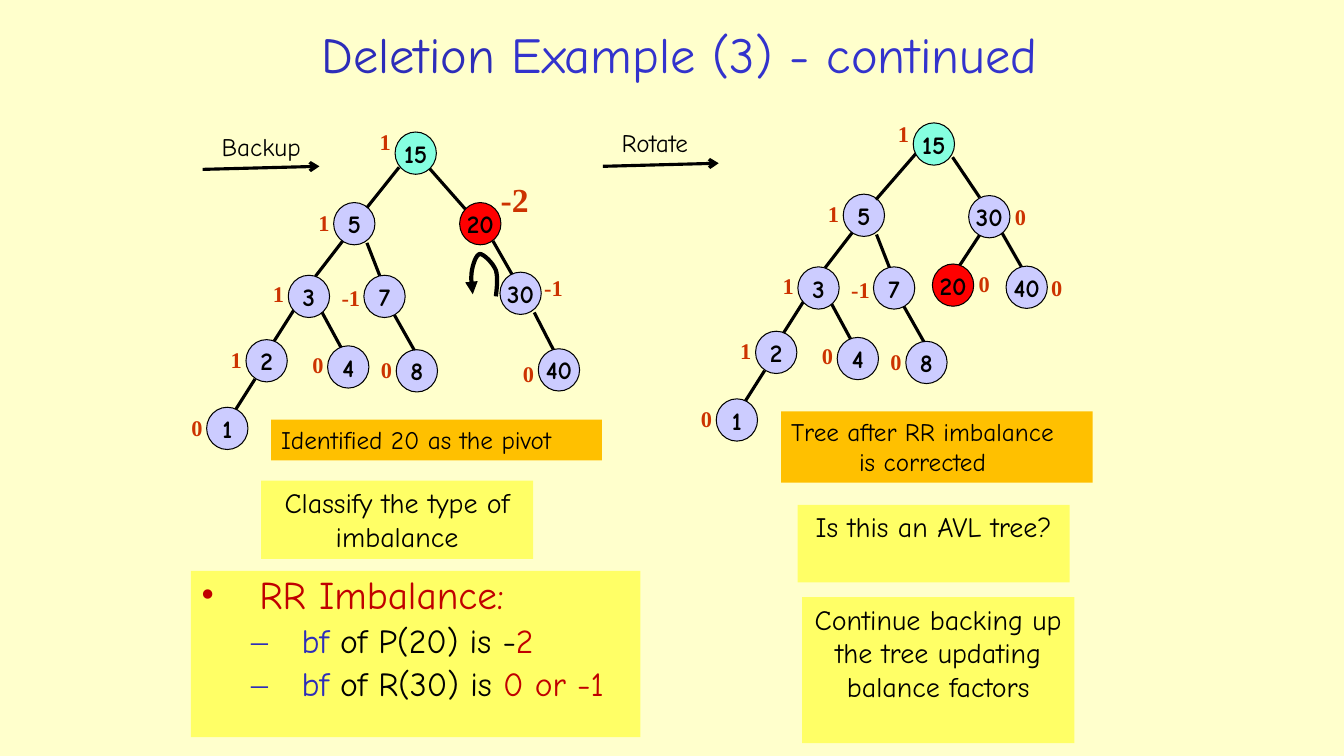
"""Draw the third AVL deletion example with its two trees and notes."""
from dataclasses import dataclass

from lxml.etree import SubElement
from pptx import Presentation
from pptx.dml.color import RGBColor
from pptx.enum.shapes import MSO_CONNECTOR, MSO_SHAPE
from pptx.enum.text import MSO_ANCHOR, MSO_AUTO_SIZE, PP_ALIGN
from pptx.oxml.ns import qn
from pptx.slide import Slide
from pptx.text.text import Font, TextFrame
from pptx.util import Pt

COMIC, TIMES = "Comic Neue", "Times New Roman"
BLACK, RED, BLUE, RUST = "000000", "C00000", "2D2DB9", "CC3300"
LILAC, AQUA, PIVOT = "CCCCFF", "85FFE0", "FF0000"
YELLOW, AMBER = "FFFF66", "FFC000"
WIDE, HIGH = 29.5, 30.2
SHIFT = (364, -6)


@dataclass
class Node:
    """A tree node and its balance factor, placed relative to the node."""
    key: str
    x: float
    y: float
    factor: str
    dx: float = -18
    dy: float = 1
    fill: str = LILAC
    size: int = 16


@dataclass
class Edge:
    """A straight line between two points."""
    x1: float
    y1: float
    x2: float
    y2: float


@dataclass
class Panel:
    """A filled box of text."""
    text: str
    x: float
    y: float
    w: float
    h: float
    fill: str = YELLOW
    size: int = 20
    wrap: bool = True


@dataclass
class Step:
    """A labelled arrow that leads to a tree."""
    text: str
    x: float
    y: float
    edge: Edge


@dataclass
class Bullet:
    """A bulleted line of coloured spans."""
    mark: str
    level: int
    margin: float
    hang: float
    size: int
    spans: list[tuple[str, str]]


BRANCH = [
    Node("5", 238.3, 144.7, "1"), Node("7", 259.9, 196.6, "-1", -23, 2.8),
    Node("3", 205.9, 196.6, "1", dy=0), Node("2", 175.7, 242.6, "1"),
    Node("4", 234, 247, "0", dy=0), Node("1", 147.6, 290.9, "0"),
    Node("8", 283, 249.8, "0"),
]
BRANCH_EDGES = [
    Edge(262.1, 173.5, 271.4, 197.3), Edge(244.8, 172.1, 225.4, 197.3),
    Edge(210.2, 221, 195.1, 244.8), Edge(281.5, 224.6, 296.6, 251.3),
    Edge(229.7, 222.5, 244.1, 249.1), Edge(182.2, 270.7, 168.5, 292.3),
]
BEFORE = [
    Node("15", 282.2, 94.3, "1", dy=-6.5, fill=AQUA),
    Node("20", 328.3, 144.7, "-2", 22.3, -20.1, PIVOT, 24),
    Node("30", 357.1, 194.4, "-1", 24.5, -2.2), Node("40", 384.5, 249.1, "0", dy=4.3),
]
BEFORE_EDGES = [
    Edge(306.7, 120.2, 333.4, 150.5), Edge(285.1, 119.5, 262.1, 148.3),
    Edge(352.1, 172.1, 366.5, 197.3), Edge(381.6, 223.2, 395.3, 249.8),
]
AFTER = [
    Node("15", 652.3, 87.8, "1", dy=-5.7, fill=AQUA), Node("30", 691.9, 139.7, "0", 25.9, 2.1),
    Node("20", 666, 188.6, "0", 25.9, 0.8, PIVOT), Node("40", 718.6, 190.1, "0", 25.2, 2.1),
]
AFTER_EDGES = [
    Edge(680.4, 112.3, 699.8, 141.1), Edge(654.5, 109.4, 625.7, 142.6),
    Edge(715.7, 166.3, 730.1, 191.5), Edge(699.8, 167.8, 684.7, 190.8),
]
PANELS = [
    Panel("Classify the type of imbalance", 186.5, 343.4, 194.4, 55.8),
    Panel("Identified 20 as the pivot", 193.7, 299.8, 236.2, 29, AMBER, 18, False),
    Panel("Tree after RR imbalance\nis corrected", 558, 293.8, 222.5, 51, AMBER, 18, False),
    Panel("Is this an AVL tree?", 569.7, 360.7, 194.4, 55.4),
    Panel("Continue backing up the tree updating balance factors", 573, 426.5, 194.4, 104.4),
]
STEPS = [
    Step("Rotate", 437, 87.1, Edge(430.6, 118.8, 513.4, 116.6)),
    Step("Backup", 151.2, 90, Edge(144.7, 121, 228.2, 118.8)),
]
RULES = [
    Bullet("•", 0, 41.8, 41.8, 28, [("RR Imbalance:", RED)]),
    Bullet("–", 1, 72, 36, 24, [("bf", BLUE), (" of P(20) is -", BLACK), ("2", RED)]),
    Bullet("–", 1, 72, 36, 24, [("bf", BLUE), (" of R(30) is ", BLACK), ("0 or -1", RED)]),
]
TURN = [
    (354.2, 211.7), (355, 205.2), (355.7, 198), (354.2, 193), (352.1, 187.9),
    (345.6, 181.4), (342.7, 181.4), (339.8, 182.2), (337.7, 189.4), (337, 193.7),
    (336.2, 198.7), (337, 204.5), (337.7, 210.2),
]


def paint(target, color: str) -> None:
    """Give a fill a solid colour."""
    target.solid()
    target.fore_color.rgb = RGBColor.from_string(color)


def style(font: Font, size: int, color: str, face: str = COMIC, bold: bool = False) -> None:
    """Set the look of a font."""
    font.name, font.size, font.bold = face, Pt(size), bold
    font.color.rgb = RGBColor.from_string(color)


def write(frame: TextFrame, text: str, size: int, color: str = BLACK, face: str = COMIC,
          bold: bool = False, align: PP_ALIGN = PP_ALIGN.LEFT) -> None:
    """Fill a frame with text in one style."""
    frame.text = text
    for para in frame.paragraphs:
        para.alignment = align
        for run in para.runs:
            style(run.font, size, color, face, bold)


def label(slide: Slide, text: str, x: float, y: float, size: int, *look) -> None:
    """Add a short unwrapped text in a box that fits it."""
    width, height = 14.4 + 0.56 * size * len(text), 7.2 + 1.2 * size
    frame = slide.shapes.add_textbox(Pt(x), Pt(y), Pt(width), Pt(height)).text_frame
    frame.word_wrap, frame.auto_size = False, MSO_AUTO_SIZE.SHAPE_TO_FIT_TEXT
    write(frame, text, size, *look)


def block(slide: Slide, kind: MSO_SHAPE, x: float, y: float, w: float, h: float, fill: str):
    """Add a filled shape without line or shadow."""
    shape = slide.shapes.add_shape(kind, Pt(x), Pt(y), Pt(w), Pt(h))
    shape.shadow.inherit = False
    paint(shape.fill, fill)
    shape.line.fill.background()
    shape.text_frame.vertical_anchor = MSO_ANCHOR.TOP
    return shape


def stroke(shape, width: float, tip: str = "") -> None:
    """Draw a black line with an optional arrow tip."""
    paint(shape.line.fill, BLACK)
    shape.line.width = Pt(width)
    if tip:
        SubElement(shape.get_or_add_ln(), qn("a:tailEnd"), type=tip)


def join(slide: Slide, edge: Edge, dx: float = 0, dy: float = 0, tip: str = "") -> None:
    """Draw an edge, moved by an offset."""
    link = slide.shapes.add_connector(MSO_CONNECTOR.STRAIGHT, Pt(edge.x1 + dx), Pt(edge.y1 + dy),
                                      Pt(edge.x2 + dx), Pt(edge.y2 + dy))
    stroke(link, 2.25, tip)
    SubElement(link._element.spPr, qn("a:effectLst"))


def plant(slide: Slide, nodes: list[Node], edges: list[Edge], dx: float = 0, dy: float = 0) -> None:
    """Draw part of a tree, moved by an offset."""
    for edge in edges:
        join(slide, edge, dx, dy)
    for node in nodes:
        x, y = node.x + dx, node.y + dy
        disc = block(slide, MSO_SHAPE.OVAL, x, y, WIDE, HIGH, node.fill)
        stroke(disc, 0.75)
        disc.text_frame.word_wrap = False
        disc.text_frame.vertical_anchor = MSO_ANCHOR.MIDDLE
        write(disc.text_frame, node.key, 18, bold=True, align=PP_ALIGN.CENTER)
        label(slide, node.factor, x + node.dx, y + node.dy, node.size, RUST, TIMES, True)


def post(slide: Slide, panel: Panel) -> None:
    """Draw a panel; an unwrapped one starts at the left."""
    frame = block(slide, MSO_SHAPE.RECTANGLE, panel.x, panel.y, panel.w, panel.h, panel.fill).text_frame
    frame.word_wrap = panel.wrap
    frame.auto_size = MSO_AUTO_SIZE.SHAPE_TO_FIT_TEXT
    write(frame, panel.text, panel.size, align=PP_ALIGN.CENTER)
    if not panel.wrap:
        frame.paragraphs[0].alignment = PP_ALIGN.LEFT


def blend(para, spans: list[tuple[str, str]], size: int) -> None:
    """Write coloured spans into a paragraph."""
    para.text = spans[0][0]
    for text, _ in spans[1:]:
        para.add_run().text = text
    for run, (_, color) in zip(para.runs, spans):
        style(run.font, size, color)


def list_rules(slide: Slide) -> None:
    """Draw the bulleted rules of the imbalance."""
    frame = block(slide, MSO_SHAPE.RECTANGLE, 136.4, 407.7, 321.1, 118.8, YELLOW).text_frame
    frame.word_wrap = True
    for i, rule in enumerate(RULES):
        para = frame.add_paragraph() if i else frame.paragraphs[0]
        blend(para, rule.spans, rule.size)
        para.alignment, para.level = PP_ALIGN.LEFT, rule.level
        para.line_spacing, para.space_before = 0.9, Pt(0.2 * rule.size)
        props = para._p.get_or_add_pPr()
        props.set("marL", str(Pt(rule.margin)))
        props.set("indent", str(-Pt(rule.hang)))
        SubElement(props, qn("a:buFont"), typeface=TIMES)
        SubElement(props, qn("a:buChar"), char=rule.mark)


def curve(slide: Slide, points: list[tuple[float, float]], steps: int = 8) -> None:
    """Draw an arrow along joined cubic curves."""
    trail = []
    for i in range(0, len(points) - 1, 3):
        for k in range(1, steps + 1):
            t = k / steps
            parts = ((1 - t) ** 3, 3 * t * (1 - t) ** 2, 3 * t * t * (1 - t), t ** 3)
            trail.append(tuple(Pt(sum(f * p[axis] for f, p in zip(parts, points[i:i + 4])))
                               for axis in (0, 1)))
    pen = slide.shapes.build_freeform(Pt(points[0][0]), Pt(points[0][1]))
    pen.add_line_segments(trail, close=False)
    shape = pen.convert_to_shape()
    shape.shadow.inherit = False
    shape.fill.background()
    stroke(shape, 3, "triangle")


def main() -> None:
    """Build and save the slide."""
    deck = Presentation()
    deck.slide_width, deck.slide_height = Pt(960), Pt(540)
    slide = deck.slides.add_slide(deck.slide_layouts[6])
    paint(slide.background.fill, "FFFFCC")
    title = slide.shapes.add_textbox(Pt(141.8), Pt(10.8), Pt(686.9), Pt(54.7)).text_frame
    title.word_wrap, title.vertical_anchor = True, MSO_ANCHOR.MIDDLE
    blend(title.paragraphs[0], [("Deletion ", BLUE), ("Example (3) - continued", "3333CC")], 36)
    title.paragraphs[0].alignment = PP_ALIGN.CENTER
    plant(slide, BRANCH, BRANCH_EDGES)
    plant(slide, BEFORE, BEFORE_EDGES)
    plant(slide, BRANCH, BRANCH_EDGES, *SHIFT)
    plant(slide, AFTER, AFTER_EDGES)
    for panel in PANELS:
        post(slide, panel)
    list_rules(slide)
    curve(slide, TURN)
    for step in STEPS:
        join(slide, step.edge, tip="arrow")
        label(slide, step.text, step.x, step.y, 18)
    deck.save("out.pptx")


if __name__ == "__main__":
    main()
